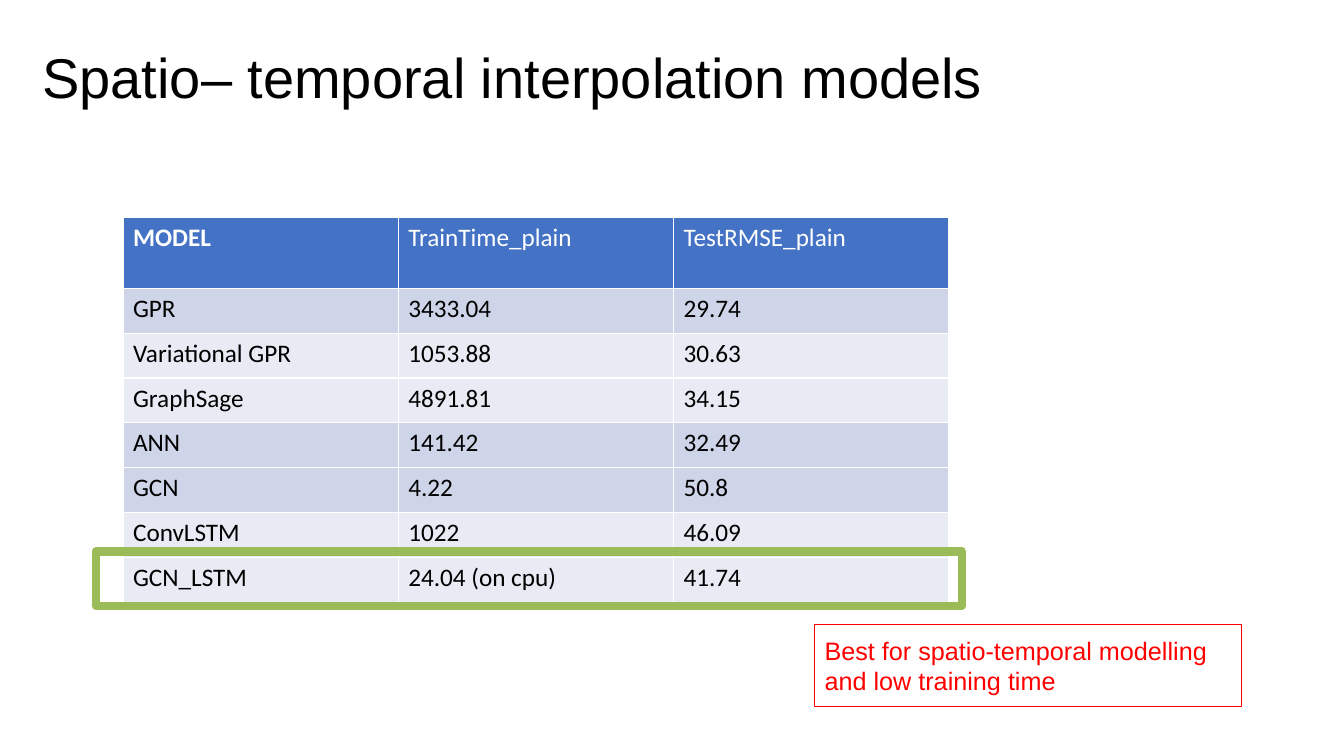
import pptx
import pptx.util
import pptx.dml.color
import pptx.enum.shapes
import pptx.enum.text
import pptx.oxml
import pptx.oxml.ns

Inches = pptx.util.Inches
Pt = pptx.util.Pt
Color = pptx.dml.color.RGBColor.from_string


class Theme:
    head = Color("4472C4")
    dark = Color("CFD5E9")
    light = Color("E8EBF4")
    white = Color("FFFFFF")
    black = Color("000000")
    red = Color("FF0000")
    green = Color("9BBB59")
    title = Pt(40)
    body = Pt(18)
    sans = "Arial"
    grid = "Calibri"


def write(frame, text, font, size, color, bold=False):
    para = frame.paragraphs[0]
    para.alignment = pptx.enum.text.PP_ALIGN.LEFT
    run = para.add_run()
    run.text = text
    run.font.name = font
    run.font.size = size
    run.font.bold = bold
    run.font.color.rgb = color
    return para


def border(cell):
    props = cell._tc.get_or_add_tcPr()
    for index, side in enumerate(("lnL", "lnR", "lnT", "lnB")):
        line = pptx.oxml.parse_xml(
            f'<a:{side} {pptx.oxml.ns.nsdecls("a")} w="{Pt(0.96)}">'
            f'<a:solidFill><a:srgbClr val="{Theme.white}"/></a:solidFill></a:{side}>'
        )
        props.insert(index, line)


deck = pptx.Presentation()
deck.slide_width = Inches(13.33)
deck.slide_height = Inches(7.5)
slide = deck.slides.add_slide(deck.slide_layouts[5])

title = slide.shapes.title
title.left, title.top = Inches(0.32), Inches(0.07)
title.width, title.height = Inches(12.31), Inches(1.45)
title.text_frame.vertical_anchor = pptx.enum.text.MSO_ANCHOR.MIDDLE
para = write(title.text_frame, "Spatio– temporal interpolation models",
             Theme.sans, Theme.title, Theme.black)
para.line_spacing = 0.9

rows = [
    (Theme.head, "MODEL", "TrainTime_plain", "TestRMSE_plain"),
    (Theme.dark, "GPR", "3433.04", "29.74"),
    (Theme.light, "Variational GPR", "1053.88", "30.63"),
    (Theme.light, "GraphSage", "4891.81", "34.15"),
    (Theme.dark, "ANN", "141.42", "32.49"),
    (Theme.dark, "GCN", "4.22", "50.8"),
    (Theme.light, "ConvLSTM", "1022", "46.09"),
    (Theme.light, "GCN_LSTM", "24.04 (on cpu)", "41.74"),
]
table = slide.shapes.add_table(len(rows), 3, Inches(1.22), Inches(2.16),
                               Inches(8.19), Inches(3.82)).table
table.horz_banding = False
for column in table.columns:
    column.width = Inches(2.73)
for r, (fill, *texts) in enumerate(rows):
    table.rows[r].height = Inches(0.445 if r else 0.7)
    for c, text in enumerate(texts):
        cell = table.cell(r, c)
        cell.fill.solid()
        cell.fill.fore_color.rgb = fill
        border(cell)
        write(cell.text_frame, text, Theme.grid, Theme.body,
              Theme.black if r else Theme.white, r == 0 and c == 0)

note = slide.shapes.add_textbox(Inches(8.08), Inches(6.2), Inches(4.23), Inches(0.81))
note.line.color.rgb = Theme.red
note.line.width = Pt(0.75)
frame = note.text_frame
frame.word_wrap = True
frame.margin_left = frame.margin_right = Inches(0.1)
frame.margin_top = frame.margin_bottom = Inches(0.1)
frame.auto_size = pptx.enum.text.MSO_AUTO_SIZE.SHAPE_TO_FIT_TEXT
write(frame, "Best for spatio-temporal modelling and low training time",
      Theme.sans, Theme.body, Theme.red)

mark = slide.shapes.add_shape(pptx.enum.shapes.MSO_SHAPE.RECTANGLE,
                              Inches(0.95), Inches(5.47), Inches(8.59), Inches(0.54))
mark.shadow.inherit = False
mark.fill.background()
mark.line.color.rgb = Theme.green
mark.line.width = Pt(6)

deck.save("out.pptx")
